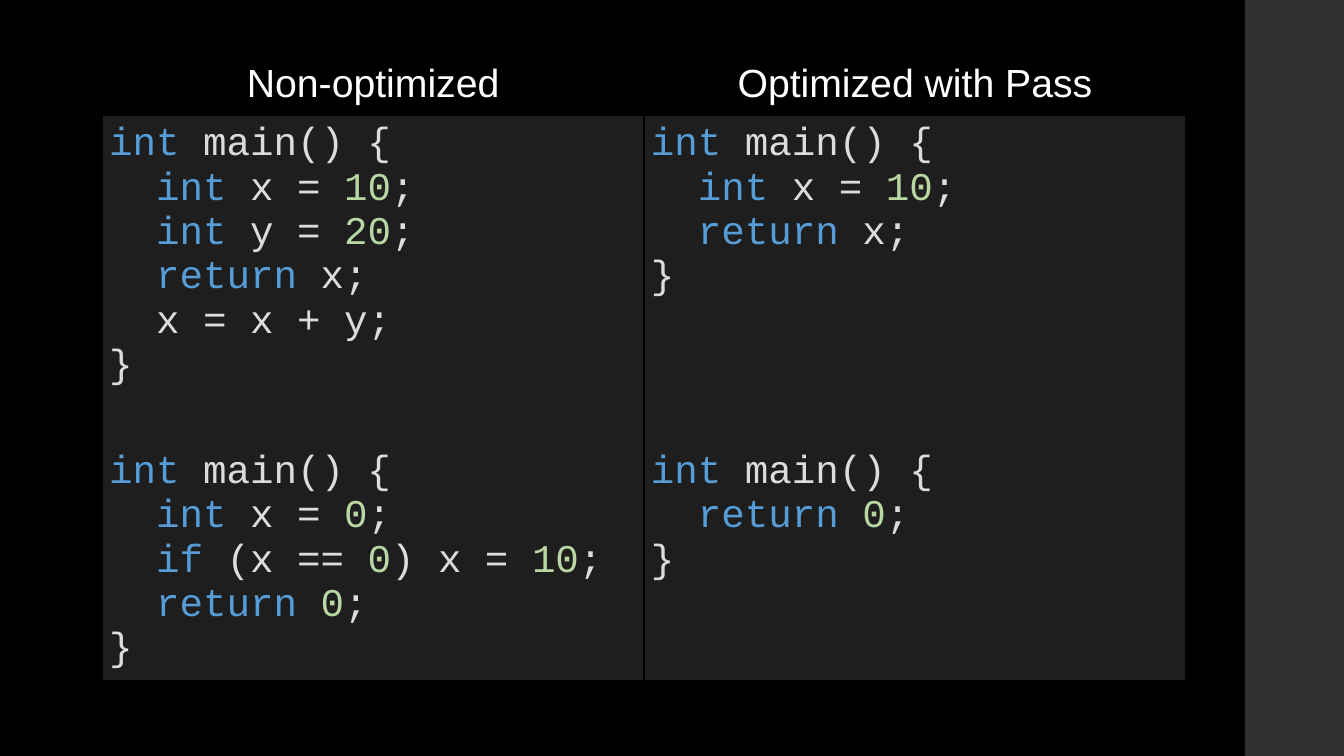
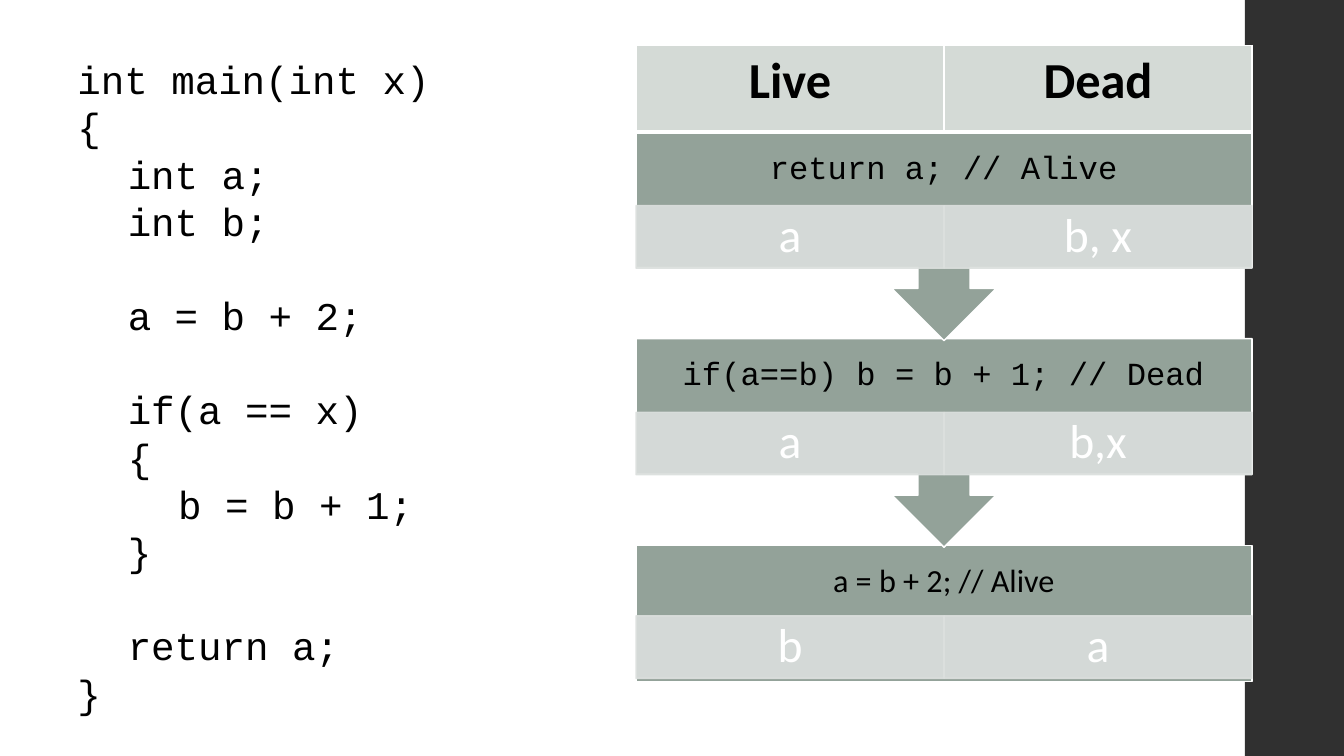
from dataclasses import dataclass
from itertools import groupby
from lxml.etree import Element, SubElement
from pptx import Presentation
from pptx.dml.color import RGBColor
from pptx.enum.shapes import MSO_SHAPE
from pptx.enum.text import MSO_ANCHOR, PP_ALIGN
from pptx.oxml.ns import qn
from pptx.util import Pt

HEADINGS = ("Non-optimized", "Optimized with Pass")
EXAMPLES = (
    (
        ((0, "int main() {"), (1, "int x = 10;"), (1, "int y = 20;"),
         (1, "return x;"), (1, "x = x + y;"), (0, "}")),
        ((0, "int main() {"), (1, "int x = 10;"), (1, "return x;"), (0, "}")),
    ),
    (
        ((0, "int main() {"), (1, "int x = 0;"), (1, "if (x == 0) x = 10;"),
         (1, "return 0;"), (0, "}")),
        ((0, "int main() {"), (1, "return 0;"), (0, "}")),
    ),
)
KEYWORDS = {"int", "if", "return"}

PROGRAM = (
    ((0, "int main(int x) "), (0, "{"), (1, "int a;"), (1, "int b;")),
    ((1, "a = b + 2;"),),
    ((1, "if(a == x)"), (1, "{"), (2, "b = b + 1;"), (1, "}")),
    ((1, "return a;"), (0, "}")),
)
LIVENESS = ("Live", "Dead")
STEPS = (
    ("return a; // Alive", "Courier New", ("a", "b, x")),
    ("if(a==b) b = b + 1; // Dead", "Courier New", ("a", "b,x")),
    ("a = b + 2; // Alive", "Calibri", ("b", "a")),
)


@dataclass(frozen=True)
class Theme:
    black: str = "000000"
    white: str = "FFFFFF"
    band: str = "303030"
    editor: str = "1E1E1E"
    plain: str = "DCDCDC"
    keyword: str = "569CD6"
    number: str = "B8D7A3"
    step: str = "93A299"
    state: str = "DCE0DE"
    header: str = "D4DAD6"
    code_font: str = "Courier New"
    heading_font: str = "Arial"
    body_font: str = "Calibri"
    code_size: float = 28
    statement_size: float = 23
    state_size: float = 34
    header_size: float = 36


THEME = Theme()
NO_STYLE = "{2D5ABB26-0587-4C30-8999-92F81FD0307C}"
WIDTH, HEIGHT = 960, 540
BAND_LEFT, BAND_WIDTH = 889.2, 72


def assign(target, values):
    for attribute, value in values.items():
        setattr(target, attribute, value)


def margins(horizontal, vertical):
    return dict(margin_left=Pt(horizontal), margin_right=Pt(horizontal),
                margin_top=Pt(vertical), margin_bottom=Pt(vertical))


def add_run(paragraph, words, font, size, colour, bold=False):
    run = paragraph.add_run()
    run.text = words
    assign(run.font, dict(name=font, size=Pt(size), bold=bold))
    run.font.color.rgb = RGBColor.from_string(colour)


def paint(target, colour):
    target.fill.solid()
    target.fill.fore_color.rgb = RGBColor.from_string(colour)


def add_block(slide, kind, box, colour, outline=None, opacity=None):
    block = slide.shapes.add_shape(kind, *map(Pt, box))
    block.shadow.inherit = False
    paint(block, colour)
    if outline:
        block.line.color.rgb = RGBColor.from_string(outline)
        block.line.width = Pt(1.1)
    else:
        block.line.fill.background()
    if opacity:
        for tint in block.element.spPr.iter(qn("a:srgbClr")):
            SubElement(tint, qn("a:alpha"), val=str(opacity * 1000))
    return block


def add_slide(background):
    slide = deck.slides.add_slide(deck.slide_layouts[6])
    paint(slide.background, background)
    return slide


def add_table(slide, left, top, column_width, row_heights):
    frame = slide.shapes.add_table(len(row_heights), 2, Pt(left), Pt(top),
                                   Pt(2 * column_width), Pt(sum(row_heights)))
    for style in frame.element.iter(qn("a:tableStyleId")):
        style.text = NO_STYLE
    assign(frame.table, dict(first_row=False, horz_banding=False))
    for column in frame.table.columns:
        column.width = Pt(column_width)
    for row, height in zip(frame.table.rows, row_heights):
        row.height = Pt(height)
    return frame.table


def add_borders(cell, colour, widths):
    properties = cell._tc.get_or_add_tcPr()
    for position, (side, width) in enumerate(widths.items()):
        border = Element(qn(f"a:ln{side}"), w=str(Pt(width)))
        SubElement(SubElement(border, qn("a:solidFill")), qn("a:srgbClr"), val=colour)
        properties.insert(position, border)


def write_centred(frame, words, font, size, colour, bold=False, spacing=None):
    paragraph = frame.paragraphs[0]
    assign(paragraph, dict(alignment=PP_ALIGN.CENTER, line_spacing=spacing))
    add_run(paragraph, words, font, size, colour, bold)


def write_code(frame, sections, indent, colour_of, spacing=None):
    paragraph = frame.paragraphs[0]
    for section_index, section in enumerate(sections):
        for line_index, (level, line) in enumerate(section):
            if section_index or line_index:
                paragraph = frame.add_paragraph()
            paragraph.line_spacing = spacing
            if section_index and not line_index:
                paragraph.space_before = spacing
            paragraph._p.get_or_add_pPr().set("marL", str(Pt(level * indent)))
            for colour, words in groupby(split_words(line), colour_of):
                add_run(paragraph, "".join(words), THEME.code_font, THEME.code_size, colour)


def split_words(line):
    return ["".join(letters) for _, letters in groupby(line, str.isalnum)]


def syntax_colour(word):
    if word in KEYWORDS:
        return THEME.keyword
    return THEME.number if word.isdigit() else THEME.plain


def build_comparison(slide):
    table = add_table(slide, 73, 39, 387, (44, 234, 169))
    for column, heading in enumerate(HEADINGS):
        cell = table.cell(0, column)
        assign(cell, margins(5, 5))
        write_centred(cell.text_frame, heading, THEME.heading_font, THEME.code_size, THEME.white)
    for row, pair in enumerate(EXAMPLES, 1):
        for column, example in enumerate(pair):
            cell = table.cell(row, column)
            assign(cell, margins(5, 5))
            paint(cell, THEME.editor)
            add_borders(cell, THEME.black, dict(L=1, R=1))
            write_code(cell.text_frame, [example], 33.6, syntax_colour)


def build_liveness(slide):
    left, top, column_width = 454.3, 94.3, 220
    pitch, callout_height, last_height = 147.6, 149, 97.2
    statement_height, state_height, last_offset = 52.6, 44.6, 50.4

    for index, (statement, font, states) in reversed(list(enumerate(STEPS))):
        is_last = index == len(STEPS) - 1
        step_top = top + index * pitch
        kind = MSO_SHAPE.RECTANGLE if is_last else MSO_SHAPE.UP_ARROW_CALLOUT
        height = last_height if is_last else callout_height
        step = add_block(slide, kind, (left, step_top, 2 * column_width, height),
                         THEME.step, THEME.white)
        step.rotation = 0 if is_last else 180

        label = slide.shapes.add_textbox(Pt(left), Pt(step_top), Pt(2 * column_width),
                                         Pt(statement_height)).text_frame
        assign(label, dict(word_wrap=True, vertical_anchor=MSO_ANCHOR.MIDDLE, **margins(13, 13)))
        write_centred(label, statement, font, THEME.statement_size, THEME.black, spacing=0.9)

        state_top = step_top + (last_offset if is_last else statement_height)
        for column, variables in enumerate(states):
            box = (left + column * column_width, state_top, column_width, state_height)
            state = add_block(slide, MSO_SHAPE.RECTANGLE, box, THEME.state, THEME.state, 90)
            assign(state.text_frame, dict(word_wrap=True, vertical_anchor=MSO_ANCHOR.MIDDLE,
                                          **margins(18.7, 3.6)))
            write_centred(state.text_frame, variables, THEME.body_font, THEME.state_size,
                          THEME.white, spacing=0.9)

    program = slide.shapes.add_textbox(Pt(48.2), Pt(36), Pt(356.4), Pt(482.4)).text_frame
    program.word_wrap = True
    write_code(program, PROGRAM, 36, lambda word: THEME.black, Pt(33.7))

    table = add_table(slide, left, 32.4, column_width, (62,))
    for column, heading in enumerate(LIVENESS):
        cell = table.cell(0, column)
        paint(cell, THEME.header)
        add_borders(cell, THEME.white, dict(L=1, R=1, T=1, B=3))
        write_centred(cell.text_frame, heading, THEME.body_font, THEME.header_size,
                      THEME.black, bold=True)


deck = Presentation()
assign(deck, dict(slide_width=Pt(WIDTH), slide_height=Pt(HEIGHT)))
comparison = add_slide(THEME.black)
band = add_block(comparison, MSO_SHAPE.RECTANGLE, (BAND_LEFT, 0, BAND_WIDTH, HEIGHT), THEME.band)
band.element.nvSpPr.cNvPr.set("id", "20")
deck.slide_master.element.cSld.spTree.append(band.element)
build_comparison(comparison)
build_liveness(add_slide(THEME.white))
deck.save("out.pptx")
